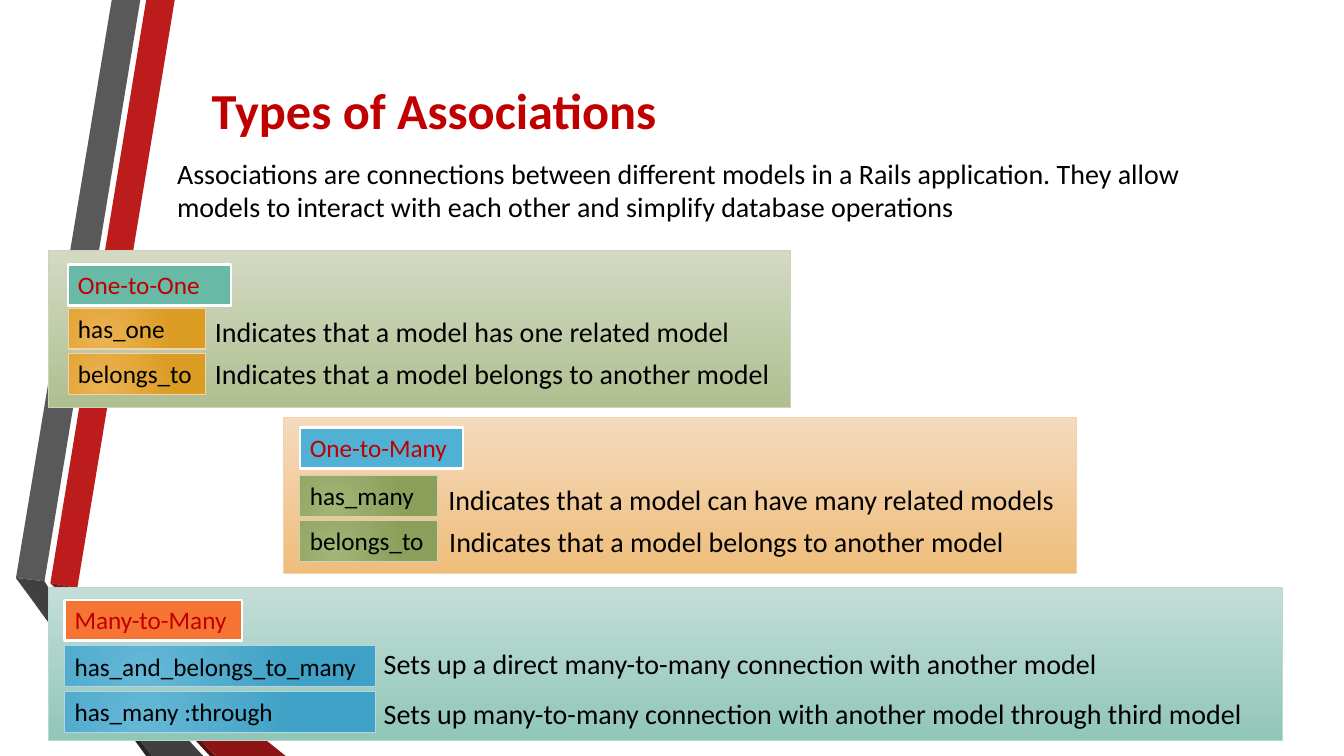
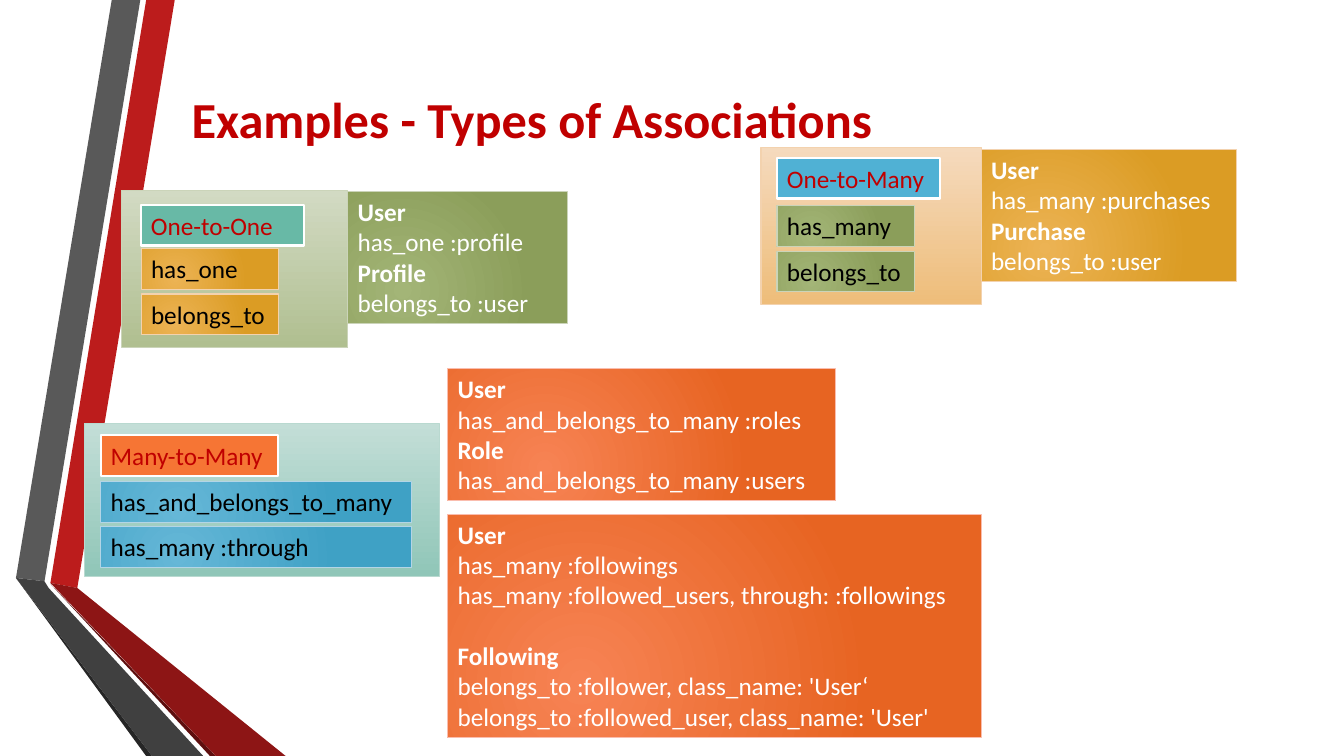
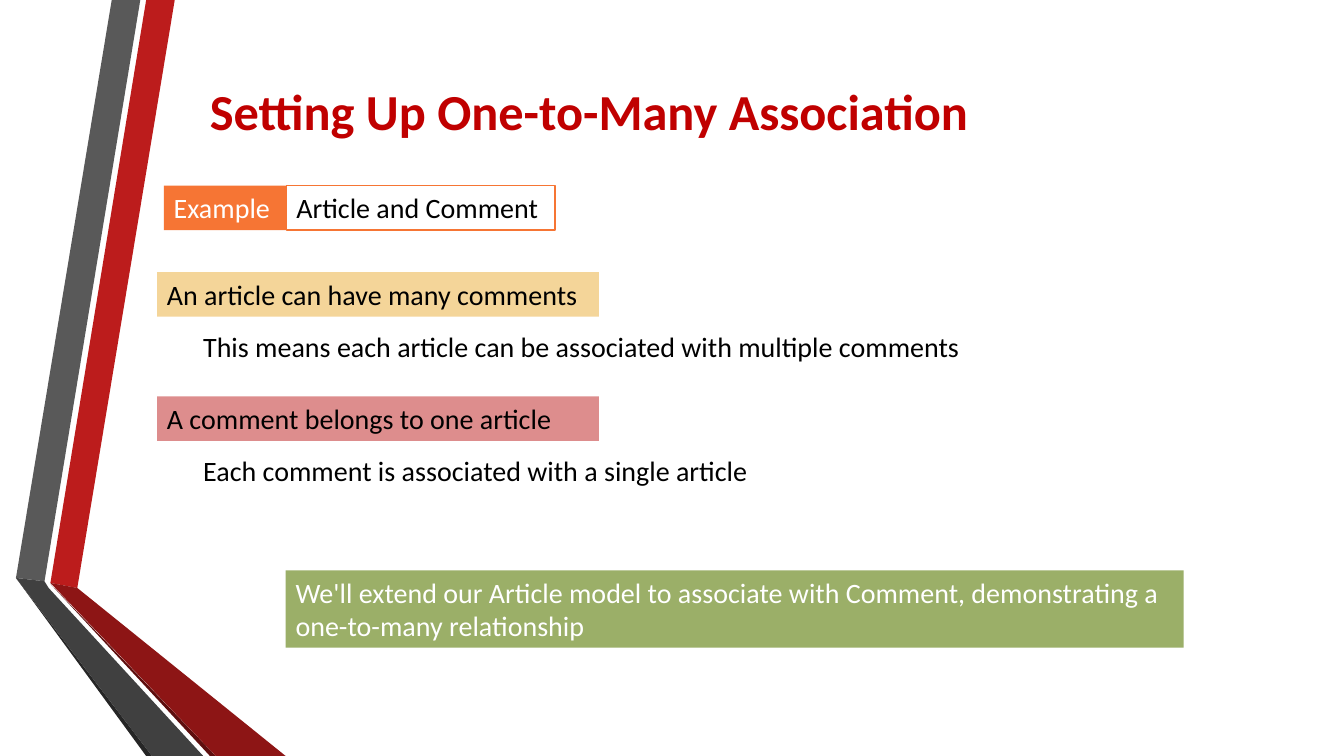
import collections

import pptx
import pptx.dml.color
import pptx.enum.shapes
import pptx.enum.text
import pptx.oxml
import pptx.oxml.ns
import pptx.util

# The slide is a grid of square cells; every length below counts cells.
COLUMNS, ROWS = 160, 90
CELL = pptx.util.Inches(7.5) // ROWS

FONT = "Calibri"
BLACK, WHITE, TITLE_RED = "000000", "FFFFFF", "C00000"
ORANGE_FLAT, GOLD_FLAT, RED_FLAT, GREEN_FLAT = "F67534", "EAAC35", "BC1C1C", "9BAF68"
BODY_SIZE, TAG_SIZE = 20, 18
CHIP_HEIGHT, BAR_HEIGHT, TITLE_HEIGHT, TWO_LINES = 4.85, 5.3, 7.3, 9.2
CHIP_TOP, CHIP_PITCH = 6.9, 5.4
CODE_HEIGHT = 15.7

Gradient = collections.namedtuple("Gradient", "start end radial")
Tone = collections.namedtuple("Tone", "panel accent edge")
Family = collections.namedtuple(
    "Family", "title title_fill title_width title_top inset height tone chip_tone chip_width macros")

GREEN = Tone(Gradient("D2DAC3", "B0BF90", False), Gradient("A3B577", "8B9E5A", True), "CBD4B9")
GOLD = Tone(Gradient("F5DABD", "EEBD7A", False), Gradient("ECB354", "DB9C24", True), "F3D2AE")
TEAL = Tone(Gradient("C3DED7", "90C6B8", False), None, "B9D9D0")
BLUE = Tone(None, Gradient("65B7D7", "3FA1C5", True), "B3D5E6")
ORANGE = Tone(None, Gradient("F78354", "E76422", True), "FABDAE")

ONE_TO_ONE = Family("One-to-One", "68B9A6", 19.4, 1.7, 2.3, 18.7, GREEN, GOLD, 16.4,
                    ("has_one", "belongs_to"))
ONE_TO_MANY = Family("One-to-Many", "50B1D4", 19.4, 1.2, 1.9, 18.6, GOLD, GREEN, 16.4,
                     ("has_many", "belongs_to"))
MANY_TO_MANY = Family("Many-to-Many", ORANGE_FLAT, 21.1, 1.4, 1.9, 18.2, TEAL, BLUE, 37,
                      ("has_and_belongs_to_many", "has_many :through"))

RIBBONS = [
    (RED_FLAT, [(6, 69.4), (9.2, 70), (20.8, 0), (17.4, 0)]),
    ("595959", [(16.7, 0), (13.3, 0), (1.9, 68.8), (5.3, 69.2)]),
    ("262626", [(1.9, 68.8), (17.4, 90), (18.1, 90)]),
    ("5E0E0E", [(6, 69.5), (25, 90), (25.7, 90)]),
    ("8D1515", [(6, 69.4), (25.7, 90), (34, 90), (9.2, 70)]),
    ("404040", [(24.2, 90), (5.8, 70), (5.3, 69.2), (1.9, 68.8), (18.1, 90)]),
]


def cells(count):
    return pptx.util.Emu(round(count * CELL))


def rgb(value):
    return pptx.dml.color.RGBColor.from_string(value)


def paint(shape, fill, edge=None, edge_width=0.75, opacity=100):
    """Fill with a hex colour or a Gradient, outline if an edge is given."""
    shape.shadow.inherit = False
    if isinstance(fill, Gradient):
        paint_gradient(shape, fill)
    else:
        shape.fill.solid()
        shape.fill.fore_color.rgb = rgb(fill)
    if opacity < 100:
        colour = shape.element.spPr.find(".//" + pptx.oxml.ns.qn("a:srgbClr"))
        alpha = colour.makeelement(pptx.oxml.ns.qn("a:alpha"), {"val": str(opacity * 1000)})
        colour.append(alpha)
    if edge:
        shape.line.color.rgb = rgb(edge)
        shape.line.width = pptx.util.Pt(edge_width)
    else:
        shape.line.fill.background()


def paint_gradient(shape, gradient):
    shape.fill.gradient()
    shape.fill.gradient_angle = 270
    for stop, colour in zip(shape.fill.gradient_stops, (gradient.start, gradient.end)):
        stop.color.rgb = rgb(colour)
    if gradient.radial:
        linear = shape.element.spPr.find(".//" + pptx.oxml.ns.qn("a:lin"))
        circle = pptx.oxml.parse_xml(
            f'<a:path {pptx.oxml.ns.nsdecls("a")} path="circle">'
            '<a:fillToRect l="50000" t="100000" r="100000" b="50000"/></a:path>')
        linear.getparent().replace(linear, circle)


def style(paragraph, size, colour, bold=False):
    paragraph.font.name = FONT
    paragraph.font.size = pptx.util.Pt(size)
    paragraph.font.bold = bold
    paragraph.font.color.rgb = rgb(colour)


def write(shape, text, size, colour):
    """Put one left-aligned paragraph at the top of the shape."""
    frame = shape.text_frame
    frame.word_wrap = True
    frame.vertical_anchor = pptx.enum.text.MSO_ANCHOR.TOP
    paragraph = frame.paragraphs[0]
    paragraph.text = text
    paragraph.alignment = pptx.enum.text.PP_ALIGN.LEFT
    style(paragraph, size, colour)
    return paragraph


def add_text(slide, text, left, top, width, height=BAR_HEIGHT):
    box = slide.shapes.add_textbox(cells(left), cells(top), cells(width), cells(height))
    write(box, text, BODY_SIZE, BLACK)
    return box


def add_box(slide, left, top, width, height, fill, **look):
    box = slide.shapes.add_shape(pptx.enum.shapes.MSO_SHAPE.RECTANGLE,
                                 cells(left), cells(top), cells(width), cells(height))
    paint(box, fill, **look)
    return box


def add_bar(slide, text, left, top, width, fill, colour=BLACK, height=BAR_HEIGHT, **look):
    write(add_box(slide, left, top, width, height, fill, **look), text, BODY_SIZE, colour)


def add_title(slide, text, left, top, width):
    title = add_text(slide, text, left, top, width, TITLE_HEIGHT)
    title.text_frame.vertical_anchor = pptx.enum.text.MSO_ANCHOR.MIDDLE
    heading = title.text_frame.paragraphs[0]
    heading.alignment = pptx.enum.text.PP_ALIGN.CENTER
    style(heading, 36, TITLE_RED, bold=True)


def add_family(slide, family, left, top, width):
    """Draw a panel with the association's name and its macros below."""
    add_box(slide, left, top, width, family.height, family.tone.panel, edge=family.tone.edge)
    left += family.inset
    name = add_box(slide, left, top + family.title_top, family.title_width, CHIP_HEIGHT,
                   family.title_fill, edge=WHITE, edge_width=1.75)
    write(name, family.title, TAG_SIZE, TITLE_RED)
    for index, macro in enumerate(family.macros):
        chip = add_box(slide, left, top + CHIP_TOP + index * CHIP_PITCH,
                       family.chip_width, CHIP_HEIGHT,
                       family.chip_tone.accent, edge=family.chip_tone.edge)
        write(chip, macro, TAG_SIZE, BLACK)


def add_code(slide, tone, left, top, width, models, height=CODE_HEIGHT, gap=0):
    """List each model in bold with its declarations, gap points between models."""
    box = add_box(slide, left, top, width, height, tone.accent, edge=tone.edge)
    lines = [(line, line == model) for model, declarations in models.items()
             for line in (model, *declarations)]
    for index, (line, is_model) in enumerate(lines):
        if index == 0:
            paragraph = write(box, line, TAG_SIZE, WHITE)
        else:
            paragraph = box.text_frame.add_paragraph()
            paragraph.text = line
            paragraph.alignment = pptx.enum.text.PP_ALIGN.LEFT
            if is_model:
                paragraph.space_before = pptx.util.Pt(gap)
        style(paragraph, TAG_SIZE, WHITE, bold=is_model)


def add_ribbons(layout, slide):
    """Draw the ribbons on a slide, then move them to the layout all slides share."""
    for placeholder in list(layout.placeholders):
        layout.shapes.element.remove(placeholder.element)
    for colour, corners in RIBBONS:
        start, *others = [(cells(x), cells(y)) for x, y in corners]
        outline = slide.shapes.build_freeform(*start)
        outline.add_line_segments(others, close=True)
        ribbon = outline.convert_to_shape()
        paint(ribbon, colour)
        layout.shapes.element.append(ribbon.element)


def build_types(slide):
    add_family(slide, MANY_TO_MANY, 5.8, 70, 146.9)
    add_family(slide, ONE_TO_MANY, 33.8, 49.7, 94.4)
    add_family(slide, ONE_TO_ONE, 5.8, 29.8, 88.3)
    add_title(slide, "Types of Associations", 22.3, 9.4, 58.8)
    add_text(slide, "Associations are connections between different models in a Rails application. "
             "They allow models to interact with each other and simplify database operations",
             19.9, 18, 131.3, TWO_LINES)
    belongs = "Indicates that a model belongs to another model"
    for text, left, top, width in [
        ("Indicates that a model has one related model", 24.4, 36.8, 64.7),
        (belongs, 24.4, 41.9, 69.7),
        ("Indicates that a model can have many related models", 52.2, 56.8, 76.1),
        (belongs, 52.3, 61.9, 69.7),
        ("Sets up a direct many-to-many connection with another model", 44.5, 76.4, 89.4),
        ("Sets up many-to-many connection with another model through third model",
         44.5, 82.3, 106.7),
    ]:
        add_text(slide, text, left, top, width)


def build_examples(slide):
    add_family(slide, MANY_TO_MANY, 10.1, 50.4, 42.2)
    add_family(slide, ONE_TO_MANY, 90.6, 17.6, 26.2)
    add_family(slide, ONE_TO_ONE, 14.5, 22.7, 26.9)
    add_title(slide, "Examples - Types of Associations", 19.9, 10.4, 86.9)
    add_code(slide, GREEN, 41.4, 22.8, 26.2,
             {"User": ["has_one :profile"], "Profile": ["belongs_to :user"]})
    add_code(slide, GOLD, 116.8, 17.8, 30.4,
             {"User": ["has_many :purchases"], "Purchase": ["belongs_to :user"]})
    add_code(slide, ORANGE, 53.3, 43.9, 46.2,
             {"User": ["has_and_belongs_to_many :roles"],
              "Role": ["has_and_belongs_to_many :users"]})
    add_code(slide, ORANGE, 53.3, 61.2, 63.5,
             {"User": ["has_many :followings",
                       "has_many :followed_users, through: :followings"],
              "Following": ["belongs_to :follower, class_name: 'User‘",
                            "belongs_to :followed_user, class_name: 'User'"]},
             height=26.6, gap=22)


def build_setup(slide):
    add_title(slide, "Setting Up One-to-Many Association", 20.6, 9.5, 99.1)
    add_bar(slide, "Example", 19.5, 22.1, 14.6, ORANGE_FLAT, WHITE)
    add_bar(slide, "Article and Comment", 34.1, 22.1, 32, WHITE, edge=ORANGE_FLAT, edge_width=1.25)
    for top, fill, rule, meaning in [
        (32.4, GOLD_FLAT, "An article can have many comments",
         "This means each article can be associated with multiple comments"),
        (47.2, RED_FLAT, "A comment belongs to one article",
         "Each comment is associated with a single article"),
    ]:
        add_bar(slide, rule, 18.7, top, 52.6, fill, opacity=50)
        add_text(slide, meaning, 23, top + 6.2, 94.4)
    add_bar(slide, "We'll extend our Article model to associate with Comment, "
            "demonstrating a one-to-many relationship",
            34, 67.9, 106.9, GREEN_FLAT, WHITE, height=TWO_LINES)


def main():
    deck = pptx.Presentation()
    deck.slide_width, deck.slide_height = cells(COLUMNS), cells(ROWS)
    blank = deck.slide_layouts[6]
    for build in (build_types, build_examples, build_setup):
        slide = deck.slides.add_slide(blank)
        if len(deck.slides) == 1:
            add_ribbons(blank, slide)
        build(slide)
    deck.save("out.pptx")


if __name__ == "__main__":
    main()
